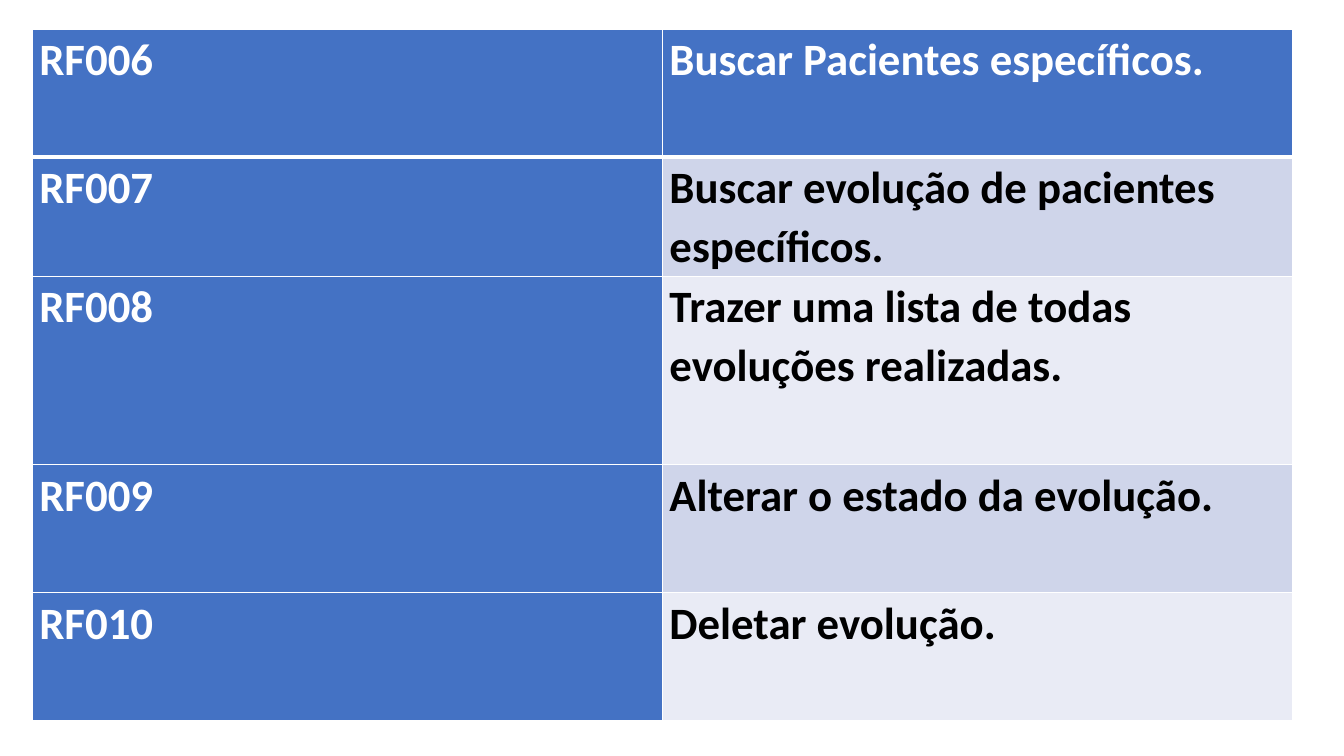
from dataclasses import dataclass

from lxml.etree import SubElement
from pptx import Presentation
from pptx.dml.color import RGBColor
from pptx.oxml.ns import qn
from pptx.util import Inches, Pt


@dataclass(frozen=True)
class Theme:
    font: str = "Calibri"
    text_size: int = 32
    accent: str = "4472C4"
    bands: tuple = ("CFD5EA", "E9EBF5")
    light: str = "FFFFFF"
    dark: str = "000000"
    thin_line: float = 1
    header_line: float = 3


class SlideBuilder:
    def __init__(self, slide, theme):
        self.slide = slide
        self.theme = theme

    def table(self, left, top, column_widths, row_heights, entries):
        """Draw a table with an accented first row and first column."""
        grid = self.slide.shapes.add_table(
            len(row_heights), len(column_widths), Inches(left), Inches(top),
            Inches(sum(column_widths)), Inches(sum(row_heights))).table
        for column, width in zip(grid.columns, column_widths):
            column.width = Inches(width)
        for row, height in zip(grid.rows, row_heights):
            row.height = Inches(height)

        theme = self.theme
        for r, entry in enumerate(entries):
            for c, wording in enumerate(entry):
                accented = r == 0 or c == 0
                fill = theme.accent if accented else theme.bands[(r - 1) % 2]
                color = theme.light if accented else theme.dark
                cell = grid.cell(r, c)
                self.borders(cell, top=theme.header_line if r == 1 else theme.thin_line,
                             bottom=theme.header_line if r == 0 else theme.thin_line)
                self.cell(cell, wording, fill, color)

    def borders(self, cell, top, bottom):
        """Rule the four sides of a cell; the XML order is L, R, T, B."""
        properties = cell._tc.get_or_add_tcPr()
        thin = self.theme.thin_line
        for side, width in (("L", thin), ("R", thin), ("T", top), ("B", bottom)):
            line = SubElement(properties, qn(f"a:ln{side}"), w=str(Pt(width)))
            solid = SubElement(line, qn("a:solidFill"))
            SubElement(solid, qn("a:srgbClr"), val=self.theme.light)

    def cell(self, cell, wording, fill, color):
        """Fill a cell and set its text."""
        cell.fill.solid()
        cell.fill.fore_color.rgb = RGBColor.from_string(fill)
        cell.margin_left = cell.margin_right = Inches(0.07)
        cell.margin_top = cell.margin_bottom = Inches(0)
        cell.text_frame.text = wording
        paragraph = cell.text_frame.paragraphs[0]
        paragraph.line_spacing = 1.07
        paragraph.space_after = Pt(8)
        font = paragraph.runs[0].font
        font.name = self.theme.font
        font.size = Pt(self.theme.text_size)
        font.bold = True
        font.color.rgb = RGBColor.from_string(color)


def main():
    presentation = Presentation()
    presentation.slide_width = Inches(13.33)
    presentation.slide_height = Inches(7.5)
    slide = presentation.slides.add_slide(presentation.slide_layouts[6])
    builder = SlideBuilder(slide, Theme())

    # Functional requirements
    requirements = [
        ("RF006", "Buscar Pacientes específicos."),
        ("RF007", "Buscar evolução de pacientes específicos."),
        ("RF008", "Trazer uma lista de todas evoluções realizadas."),
        ("RF009", "Alterar o estado da evolução."),
        ("RF010", "Deletar evolução."),
    ]
    builder.table(0.32, 0.29, [6.25, 6.25], [1.27, 1.18, 1.87, 1.27, 1.27], requirements)

    presentation.save("out.pptx")


if __name__ == "__main__":
    main()
